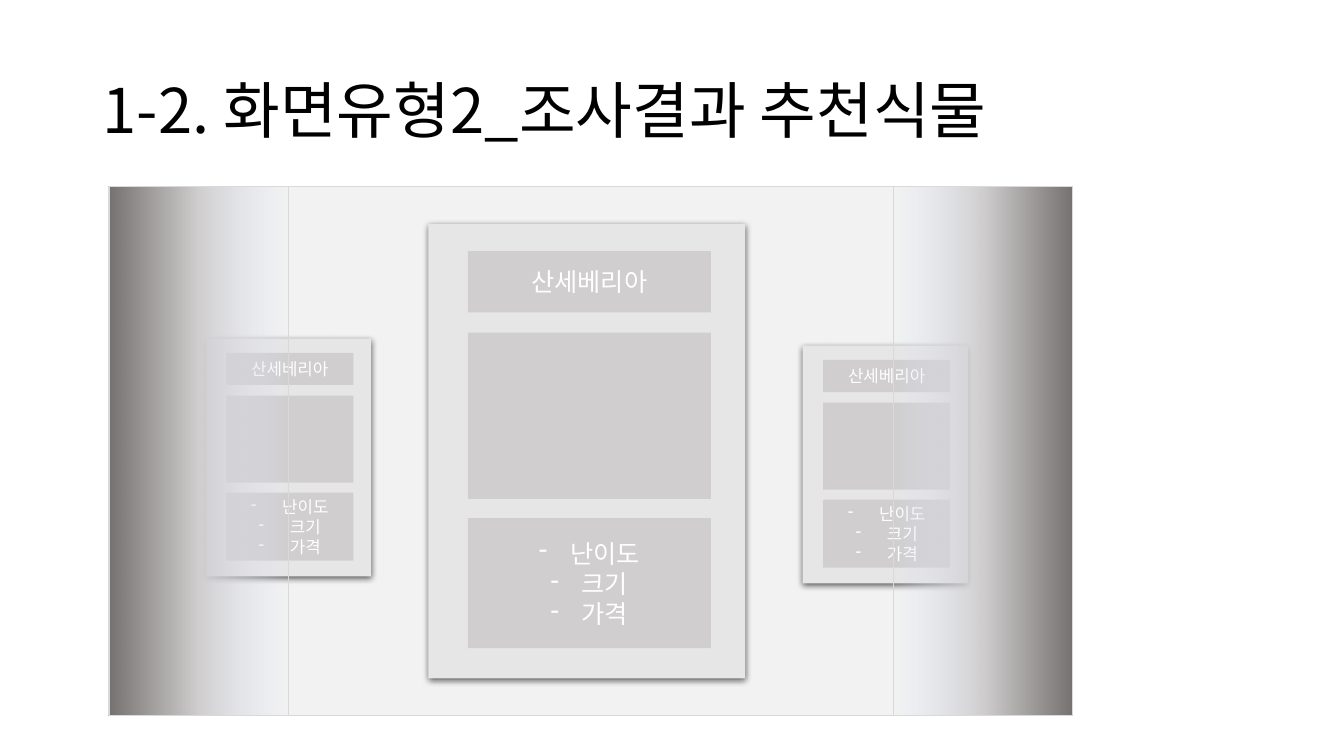
from lxml import etree
from pptx import Presentation
from pptx.dml.color import RGBColor
from pptx.enum.shapes import MSO_SHAPE
from pptx.enum.text import MSO_ANCHOR, PP_ALIGN
from pptx.oxml import parse_xml
from pptx.oxml.ns import qn
from pptx.util import Inches, Pt

RECT = MSO_SHAPE.RECTANGLE
MIDDLE = MSO_ANCHOR.MIDDLE
LEFT, CENTER = PP_ALIGN.LEFT, PP_ALIGN.CENTER
DRAWING_NS = "http://schemas.openxmlformats.org/drawingml/2006/main"

PLANT = "산세베리아"
TRAITS = ["난이도", "크기", "가격"]
SCREEN_LEFT, SCREEN_TOP, SCREEN_WIDTH, SCREEN_HEIGHT = 1.08, 1.85, 9.56, 5.25
FADE_WIDTH = 1.78
SIDE_SCALE = 0.523


def rgb(code):
    return RGBColor.from_string(code)


def write_text(frame, lines, size, color, font, align=LEFT, bullet=None, spacing=None):
    frame.word_wrap = True
    frame.vertical_anchor = MIDDLE
    for index, line in enumerate(lines):
        paragraph = frame.paragraphs[0] if index == 0 else frame.add_paragraph()
        if bullet:
            properties = paragraph._p.get_or_add_pPr()
            properties.set("marL", str(Inches(0.31)))
            properties.set("indent", str(-Inches(0.31)))
            etree.SubElement(properties, qn("a:buChar"), char=bullet)
        paragraph.alignment = align
        if spacing:
            paragraph.line_spacing = spacing
        run = paragraph.add_run()
        run.text = line
        run.font.size = Pt(size)
        run.font.color.rgb = rgb(color)
        run.font.name = font
        etree.SubElement(run._r.get_or_add_rPr(), qn("a:ea"), typeface=font)


class PlantSlide:
    FONT = "Noto Sans CJK KR"
    INK, WHITE = "000000", "FFFFFF"
    SCREEN, CARD, PANEL, EDGE = "F2F2F2", "E7E6E6", "D0CECE", "D9D9D9"
    FADE_STOPS = [(0, "767171", 100), (50, "D0CECE", 100), (100, "E0E5F7", 0)]

    def __init__(self, slide):
        self.slide = slide

    def title(self, text, left, top, width, height):
        box = self.slide.shapes.add_textbox(
            Inches(left), Inches(top), Inches(width), Inches(height))
        write_text(box.text_frame, [text], size=44, color=self.INK,
                   font=self.FONT, spacing=0.9)

    def rectangle(self, left, top, width, height, fill, edge=None, shapes=None):
        shapes = self.slide.shapes if shapes is None else shapes
        block = shapes.add_shape(
            RECT, Inches(left), Inches(top), Inches(width), Inches(height))
        block.shadow.inherit = False
        block.fill.solid()
        block.fill.fore_color.rgb = rgb(fill)
        if edge:
            block.line.color.rgb = rgb(edge)
            block.line.width = Pt(1)
        else:
            block.line.fill.background()
        return block

    def drop_shadow(self, block):
        effects = block._element.spPr.find(qn("a:effectLst"))
        effects.append(parse_xml(
            f'<a:outerShdw xmlns:a="{DRAWING_NS}" blurRad="{Pt(4.5)}" dist="{Pt(1.5)}" '
            'dir="5400000" algn="ctr" rotWithShape="0">'
            '<a:srgbClr val="000000"><a:alpha val="63000"/></a:srgbClr></a:outerShdw>'))

    def card(self, left, top, scale, size):
        """Draw a plant card; scale 1 is the card in the centre."""
        shapes = self.slide.shapes.add_group_shape().shapes

        def part(x, y, width, height, fill=self.PANEL):
            return self.rectangle(left + x * scale, top + y * scale,
                                  width * scale, height * scale, fill, shapes=shapes)

        style = dict(size=size, color=self.WHITE, font=self.FONT, align=CENTER)
        self.drop_shadow(part(0, 0, 3.14, 4.51, self.CARD))
        name_panel = part(0.39, 0.27, 2.41, 0.61)
        write_text(name_panel.text_frame, [PLANT], **style)
        part(0.39, 1.08, 2.41, 1.65)
        trait_panel = part(0.39, 2.92, 2.41, 1.29)
        write_text(trait_panel.text_frame, TRAITS, bullet="-", **style)

    def fade(self, left, rotation):
        """Cover one side of the screen with a gradient that clears inwards."""
        cover = self.rectangle(left, SCREEN_TOP, FADE_WIDTH, SCREEN_HEIGHT,
                               self.PANEL, self.EDGE)
        cover.rotation = rotation
        stops = "".join(
            f'<a:gs pos="{position * 1000}"><a:srgbClr val="{color}">'
            f'<a:alpha val="{opacity * 1000}"/></a:srgbClr></a:gs>'
            for position, color, opacity in self.FADE_STOPS)
        properties = cover._element.spPr
        properties.replace(properties.find(qn("a:solidFill")), parse_xml(
            f'<a:gradFill xmlns:a="{DRAWING_NS}" rotWithShape="1"><a:gsLst>{stops}</a:gsLst>'
            '<a:lin ang="0" scaled="0"/></a:gradFill>'))


def main():
    deck = Presentation()
    deck.slide_width, deck.slide_height = Inches(13.33), Inches(7.5)
    page = PlantSlide(deck.slides.add_slide(deck.slide_layouts[6]))

    page.title("1-2. 화면유형2_조사결과 추천식물", 0.92, 0.4, 11.5, 1.45)
    page.rectangle(SCREEN_LEFT, SCREEN_TOP, SCREEN_WIDTH, SCREEN_HEIGHT,
                   page.SCREEN, page.EDGE)
    page.card(4.25, 2.22, scale=1, size=18)
    page.card(2.04, 3.36, scale=SIDE_SCALE, size=12)
    page.card(7.96, 3.43, scale=SIDE_SCALE, size=12)
    page.fade(SCREEN_LEFT, rotation=0)
    page.fade(SCREEN_LEFT + SCREEN_WIDTH - FADE_WIDTH, rotation=180)

    deck.save("out.pptx")


if __name__ == "__main__":
    main()
